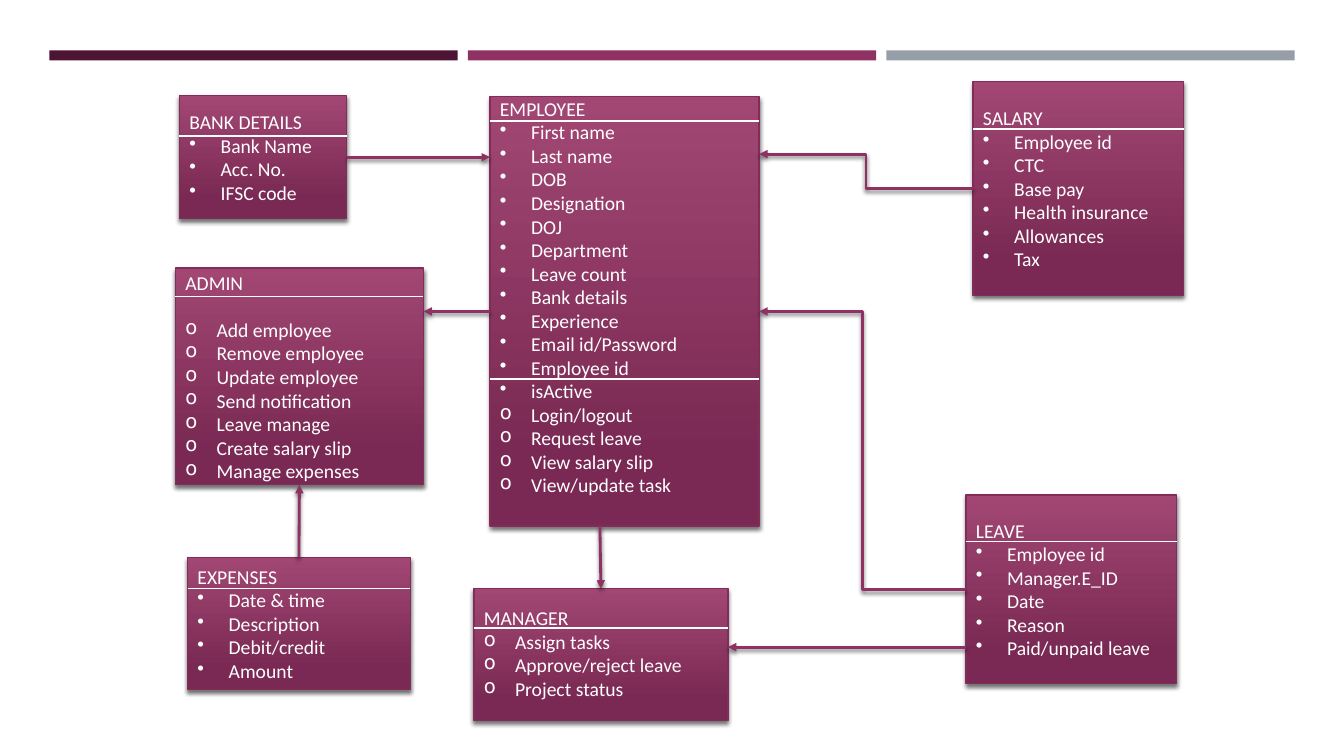
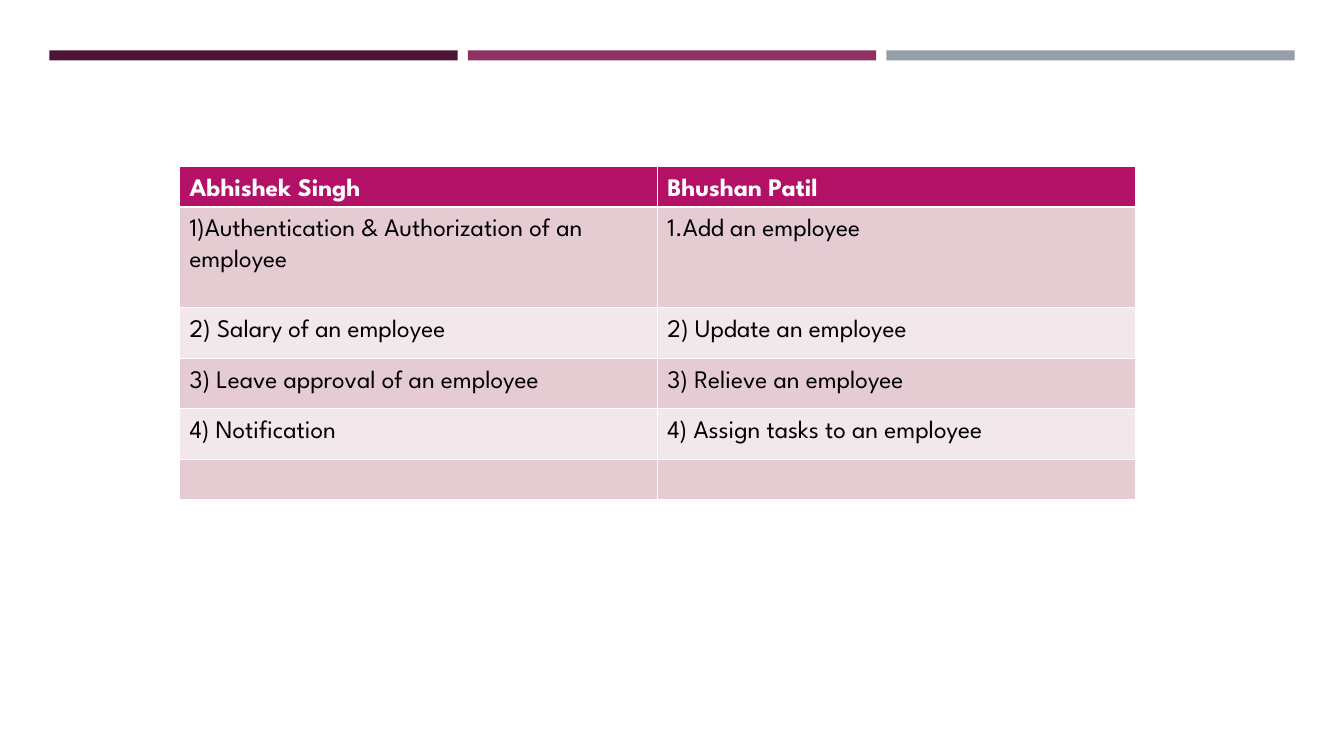
from lxml import etree
from pptx import Presentation
from pptx.dml.color import RGBColor
from pptx.enum.shapes import MSO_CONNECTOR, MSO_SHAPE
from pptx.enum.text import MSO_ANCHOR, PP_ALIGN
from pptx.oxml.ns import qn
from pptx.util import Inches, Pt

RECTANGLE = MSO_SHAPE.RECTANGLE
STRAIGHT = MSO_CONNECTOR.STRAIGHT
ELBOW = MSO_CONNECTOR.ELBOW
MIDDLE = MSO_ANCHOR.MIDDLE
LEFT_ALIGNED = PP_ALIGN.LEFT
TOP, LEFT, BOTTOM, RIGHT = range(4)
BLANK_LAYOUT = 6

WHITE, BLACK = "FFFFFF", "000000"
PLUM, MAGENTA, GRAY = "4D1434", "903163", "969FA7"
BOX_TOP, BOX_BOTTOM, BOX_LINE = "A24774", "792953", "822C59"
HEADER_FILL, BAND_FILLS = "B31166", ("E5CCD3", "F2E7EA")
BOX_FONT, TABLE_FONT = "Calibri", "League Spartan"
DOT, CIRCLE = "•", "o"


def grid(count):
    return Inches(count / 10)


def color(hex_string):
    return RGBColor.from_string(hex_string)


def add_child(parent, tag, **attributes):
    values = {name: str(value) for name, value in attributes.items()}
    return etree.SubElement(parent, qn(tag), values)


def write(paragraph, text, font=BOX_FONT, size=14, fill=WHITE, bold=False,
          bullet=None, numbered=False, line_spacing=None, space_after=None):
    paragraph.alignment = LEFT_ALIGNED
    if line_spacing:
        paragraph.line_spacing = Pt(line_spacing)
    if space_after:
        paragraph.space_after = Pt(space_after)
    properties = paragraph._p.get_or_add_pPr()
    if bullet:
        properties.set("marL", str(Inches(0.31)))
        properties.set("indent", str(-Inches(0.31)))
        add_child(properties, "a:buChar", char=bullet)
    if numbered:
        add_child(properties, "a:buAutoNum", type="arabicPeriod")
    run = paragraph.add_run()
    run.text = text
    run.font.name = font
    run.font.size = Pt(size)
    run.font.bold = bold
    run.font.color.rgb = color(fill)
    add_child(paragraph._p, "a:endParaRPr", sz=size * 100)


def set_effects(shape, shadow):
    properties = shape._element.spPr
    effects = properties.find(qn("a:effectLst"))
    if effects is None:
        effects = add_child(properties, "a:effectLst")
    if shadow:
        outer = add_child(effects, "a:outerShdw", blurRad=Pt(3), dist=Pt(2),
                          dir=90 * 60000, algn="ctr", rotWithShape=0)
        black = add_child(outer, "a:srgbClr", val=BLACK)
        add_child(black, "a:alpha", val=55000)


def side_middle(box, side):
    x = box.left + box.width * {LEFT: 0, RIGHT: 2}.get(side, 1) // 2
    y = box.top + box.height * {TOP: 0, BOTTOM: 2}.get(side, 1) // 2
    return x, y


class Deck:
    def __init__(self):
        self.presentation = Presentation()
        self.presentation.slide_width = grid(133.3)
        self.presentation.slide_height = grid(75)
        self.slide = None

    def new_slide(self):
        layout = self.presentation.slide_layouts[BLANK_LAYOUT]
        self.slide = self.presentation.slides.add_slide(layout)
        for index, fill in enumerate((PLUM, MAGENTA, GRAY)):
            band = self.rectangle(4.9 + index * 41.5, 5, 40.5, 1)
            band.fill.solid()
            band.fill.fore_color.rgb = color(fill)
            band.line.fill.background()

    def rectangle(self, left, top, width, height):
        shape = self.slide.shapes.add_shape(
            RECTANGLE, grid(left), grid(top), grid(width), grid(height))
        shape.shadow.inherit = False
        return shape

    def entity(self, place, heading, fields=(), actions=(), dividers=(),
               bottom_inset=0, heading_gap=None):
        box = self.rectangle(*place)
        box.fill.gradient()
        box.fill.gradient_angle = 270
        stops = zip(box.fill.gradient_stops, (0, 0.84), (BOX_TOP, BOX_BOTTOM))
        for stop, position, fill in stops:
            stop.position = position
            stop.color.rgb = color(fill)
        box.line.color.rgb = color(BOX_LINE)
        box.line.width = Pt(1)
        set_effects(box, shadow=True)
        frame = box.text_frame
        frame.word_wrap = True
        frame.vertical_anchor = MIDDLE
        frame.margin_top = 0
        frame.margin_bottom = grid(bottom_inset)
        write(frame.paragraphs[0], heading, space_after=heading_gap)
        for bullet, items in ((DOT, fields), (CIRCLE, actions)):
            for item in items:
                write(frame.add_paragraph(), item, bullet=bullet)
        for row in dividers:
            self.line((box.left, grid(row)),
                      (box.left + box.width, grid(row)), WHITE, 1)
        return box

    def line(self, start, end, fill, width, kind=STRAIGHT):
        connector = self.slide.shapes.add_connector(kind, *start, *end)
        connector.line.color.rgb = color(fill)
        connector.line.width = Pt(width)
        set_effects(connector, shadow=fill != WHITE)
        return connector

    def arrow(self, start, end, kind=STRAIGHT):
        joints = (start, end)
        joined = [not isinstance(joint[0], (int, float)) for joint in joints]
        points = [side_middle(*joint) if is_joined else map(grid, joint)
                  for joint, is_joined in zip(joints, joined)]
        connector = self.line(*points, MAGENTA, 2, kind)
        add_child(connector.line._get_or_add_ln(), "a:tailEnd", type="triangle")
        if joined[0]:
            connector.begin_connect(*start)
        if joined[1]:
            connector.end_connect(*end)

    def table(self, left, top, column_width, row_heights, rows):
        columns = len(rows[0])
        table = self.slide.shapes.add_table(
            len(rows), columns, grid(left), grid(top),
            grid(column_width * columns), grid(sum(row_heights))).table
        for column in table.columns:
            column.width = grid(column_width)
        for row_index, texts in enumerate(rows):
            table.rows[row_index].height = grid(row_heights[row_index])
            for column_index, text in enumerate(texts):
                self.table_cell(table.cell(row_index, column_index),
                                text, row_index, column_index)

    def table_cell(self, cell, text, row, column):
        header = row == 0
        widths = {"L": 0.6, "R": 0.6, "T": 1.68 if row == 1 else 0.6,
                  "B": 1.68 if header else 0.6}
        for side, width in widths.items():
            border = add_child(cell._tc.get_or_add_tcPr(), f"a:ln{side}", w=Pt(width))
            add_child(add_child(border, "a:solidFill"), "a:srgbClr", val=WHITE)
        cell.fill.solid()
        cell.fill.fore_color.rgb = color(HEADER_FILL if header else BAND_FILLS[(row - 1) % 2])
        if text:
            write(cell.text_frame.paragraphs[0], text, font=TABLE_FONT, size=18,
                  fill=WHITE if header else BLACK, bold=header,
                  numbered=(row, column) == (1, 1), line_spacing=21.8)


def build_class_diagram(deck):
    deck.new_slide()
    employee = deck.entity(
        (48.6, 9.6, 26.7, 42.6), "EMPLOYEE",
        ["First name", "Last name", "DOB", "Designation", "DOJ", "Department",
         "Leave count", "Bank details", "Experience", "Email id/Password",
         "Employee id", "isActive"],
        ["Login/logout", "Request leave", "View salary slip", "View/update task"],
        dividers=(12, 37.6), bottom_inset=2.9)
    salary = deck.entity(
        (96.5, 8.1, 20.9, 21.2), "SALARY",
        ["Employee id", "CTC", "Base pay", "Health insurance", "Allowances", "Tax"],
        dividers=(12.8,))
    manager = deck.entity(
        (47, 58.4, 25.2, 13.1), "MANAGER",
        actions=["Assign tasks", "Approve/reject leave", "Project status"],
        dividers=(62.3,), bottom_inset=0.3)
    leave = deck.entity(
        (95.8, 49.1, 20.9, 18.7), "LEAVE",
        ["Employee id", "Manager.E_ID", "Date", "Reason", "Paid/unpaid leave"],
        dividers=(53.7,))
    bank = deck.entity(
        (17.8, 9.5, 16.6, 12.2), "BANK DETAILS",
        ["Bank Name", "Acc. No.", "IFSC code"], dividers=(13.5,))
    admin = deck.entity(
        (17.4, 26.6, 24.6, 21.5), "ADMIN",
        actions=["Add employee", "Remove employee", "Update employee",
                 "Send notification", "Leave manage", "Create salary slip",
                 "Manage expenses"],
        dividers=(29.4,), heading_gap=17)
    expenses = deck.entity(
        (18.6, 55.3, 22.1, 13.1), "EXPENSES",
        ["Date & time", "Description", "Debit/credit", "Amount"],
        dividers=(58.4,))
    deck.arrow((leave, LEFT), (employee, RIGHT), ELBOW)
    deck.arrow((salary, LEFT), (75.3, 15.3), ELBOW)
    deck.arrow((59.5, 52.2), (manager, TOP))
    deck.arrow((95.8, 64.2), (72.2, 64.2))
    deck.arrow((bank, RIGHT), (48.6, 15.6))
    deck.arrow((employee, LEFT), (42, 30.9))
    deck.arrow((expenses, TOP), (admin, BOTTOM))


def build_work_split(deck):
    deck.new_slide()
    deck.table(17.8, 16.5, 47.4, (4, 10, 5, 5, 5, 3.7), [
        ("Abhishek Singh", "Bhushan Patil"),
        ("1)Authentication & Authorization of an employee", "Add an employee"),
        ("2) Salary of an employee", "2) Update an employee"),
        ("3) Leave approval of an employee", "3) Relieve an employee"),
        ("4) Notification", "4) Assign tasks to an employee"),
        ("", ""),
    ])


def main():
    deck = Deck()
    build_class_diagram(deck)
    build_work_split(deck)
    deck.presentation.save("out.pptx")


if __name__ == "__main__":
    main()
